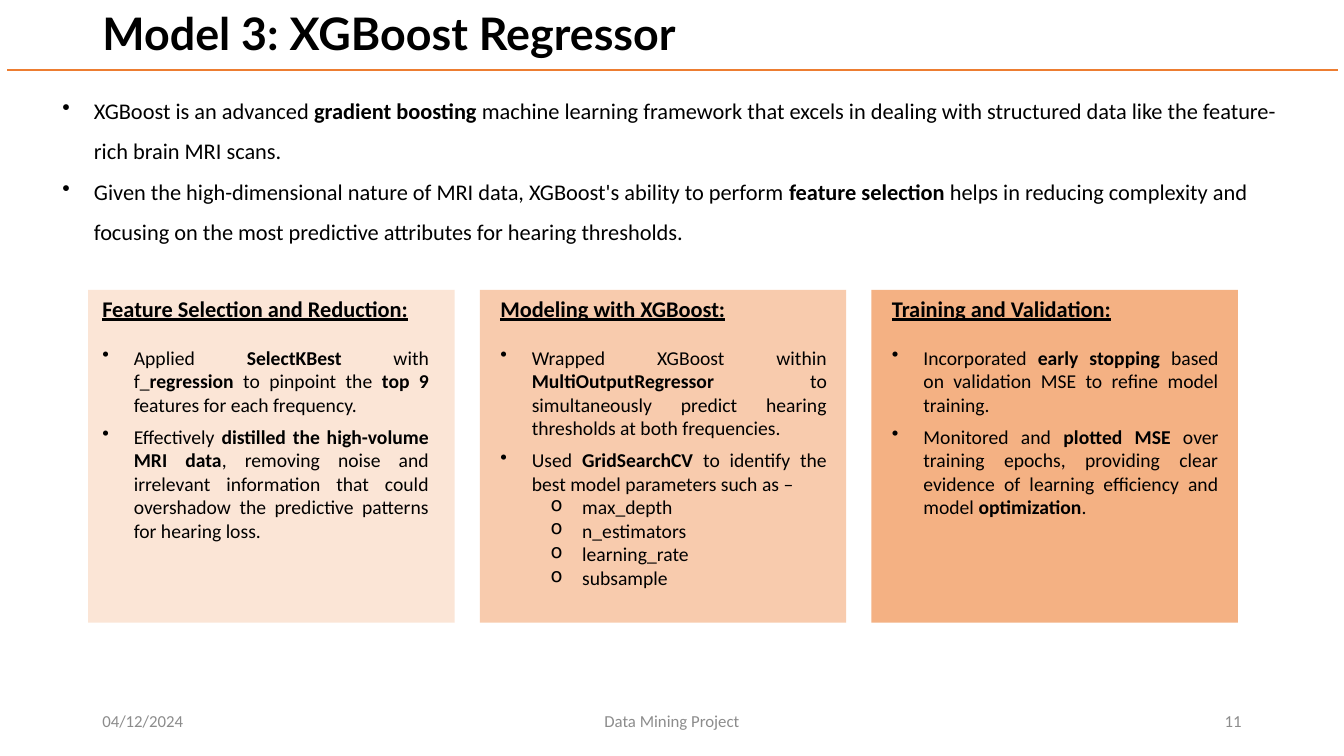
from lxml.etree import SubElement
from pptx import Presentation
from pptx.dml.color import RGBColor
from pptx.enum.shapes import MSO_CONNECTOR as Connector, MSO_SHAPE as Shape
from pptx.enum.text import MSO_ANCHOR as Anchor, MSO_AUTO_SIZE as AutoSize, PP_ALIGN as Align
from pptx.oxml.ns import qn
from pptx.util import Emu, Pt

SCALE = 9525  # EMU per px, 96 px to the inch
COLOURS = {"text": "000000", "footer": "8C8C8C", "rule": "ED7D31"}
INDENT = 30
SUB_INDENT = 78

INTRO = [
    "XGBoost is an advanced **gradient boosting **machine learning framework that excels "
    "in dealing with structured data like the feature-rich brain MRI scans.",
    "Given the high-dimensional nature of MRI data, XGBoost's ability to perform "
    "**feature selection **helps in reducing complexity and focusing on the most "
    "predictive attributes for hearing thresholds.",
]

# Card fill, text left, heading, bullets, sub-bullets
CARDS = [
    ("FBE5D6", 88, "Feature Selection and Reduction:", [
        "Applied **SelectKBest** with f_**regression** to pinpoint the **top 9** "
        "features for each frequency.",
        "Effectively **distilled the high-volume MRI data**, removing noise and irrelevant "
        "information that could overshadow the predictive patterns for hearing loss.",
    ], []),
    ("F8CBAD", 467, "Modeling with XGBoost:", [
        "Wrapped XGBoost within **MultiOutputRegressor** to simultaneously predict "
        "hearing thresholds at both frequencies.",
        "Used **GridSearchCV **to identify the best model parameters such as –",
    ], ["max_depth", "n_estimators", "learning_rate", "subsample"]),
    ("F4B183", 840, "Training and Validation:", [
        "Incorporated **early stopping **based on validation MSE to refine model training.",
        "Monitored and **plotted MSE **over training epochs, providing clear evidence of "
        "learning efficiency and model **optimization**.",
    ], []),
]

# Text, left, width, alignment
FOOTERS = [
    ("04/12/2024", 88, 288, Align.LEFT),
    ("Data Mining Project", 424, 432, Align.CENTER),
    ("11", 904, 288, Align.RIGHT),
]


def px(length):
    return Emu(length * SCALE)


def colour(value):
    return RGBColor.from_string(value)


def add_spans(para, text, size, ink="text", font="Calibri", bold=False, underline=False):
    """Add text run by run; ** switches bold on and off."""
    for index, part in enumerate(text.split("**")):
        if part:
            span = para.add_run()
            span.text = part
            span.font.name = font
            span.font.size = Pt(size)
            span.font.bold = bold or index % 2 == 1
            span.font.underline = underline
            span.font.color.rgb = colour(COLOURS[ink])


def set_bullet(para, mark, left):
    properties = para._p.get_or_add_pPr()
    properties.set("marL", str(px(left)))
    properties.set("indent", str(px(-INDENT)))
    SubElement(properties, qn("a:buChar")).set("char", mark)


def add_text_box(page, left, top, width, height, anchor=Anchor.TOP):
    box = page.shapes.add_textbox(px(left), px(top), px(width), px(height))
    frame = box.text_frame
    frame.word_wrap = True
    frame.vertical_anchor = anchor
    return frame


def add_title(page, text):
    title = page.shapes.title
    title.left, title.top, title.width, title.height = px(88), px(6), px(1104), px(56)
    frame = title.text_frame
    frame.auto_size = AutoSize.NONE
    frame.vertical_anchor = Anchor.MIDDLE
    para = frame.paragraphs[0]
    para.alignment = Align.LEFT
    para.line_spacing = 0.9
    add_spans(para, text, 32, font="Lato", bold=True)


def add_rule(page):
    rule = page.shapes.add_connector(Connector.STRAIGHT, px(7), px(67), px(1274), px(67))
    rule.line.color.rgb = colour(COLOURS["rule"])
    rule.line.width = Pt(1.5)
    SubElement(rule._element.spPr, qn("a:effectLst"))


def add_intro(page):
    frame = add_text_box(page, 50, 75, 1181, 160)
    for index, text in enumerate(INTRO):
        para = frame.add_paragraph() if index else frame.paragraphs[0]
        para.line_spacing = 1.5
        set_bullet(para, "•", INDENT)
        add_spans(para, text, 16)


def add_card(page, left, fill, text_left, heading, bullets, sub_bullets):
    top, height = 276, 317
    card = page.shapes.add_shape(Shape.RECTANGLE, px(left), px(top), px(349), px(height))
    card.shadow.inherit = False
    card.fill.solid()
    card.fill.fore_color.rgb = colour(fill)
    card.line.fill.background()

    frame = add_text_box(page, text_left, top, 330, height)
    para = frame.paragraphs[0]
    para.alignment = Align.JUSTIFY
    para.space_after = Pt(17)
    add_spans(para, heading, 16, bold=True, underline=True)
    for index, text in enumerate(bullets):
        para = frame.add_paragraph()
        para.alignment = Align.JUSTIFY
        para.space_before = Pt(6 if index else 0)
        set_bullet(para, "•", INDENT)
        add_spans(para, text, 14)
    for text in sub_bullets:
        para = frame.add_paragraph()
        para.level = 1
        para.alignment = Align.JUSTIFY
        set_bullet(para, "o", SUB_INDENT)
        add_spans(para, text, 14)


def add_footer(page, text, left, width, alignment):
    para = add_text_box(page, left, 667, width, 38, Anchor.MIDDLE).paragraphs[0]
    para.alignment = alignment
    add_spans(para, text, 12, ink="footer")


def main():
    deck = Presentation()
    deck.slide_width, deck.slide_height = px(1280), px(720)
    page = deck.slides.add_slide(deck.slide_layouts[5])

    # Heading and introduction
    add_rule(page)
    add_title(page, "Model 3: XGBoost Regressor")
    add_intro(page)

    # Three equally spaced cards
    for index, card in enumerate(CARDS):
        add_card(page, 84 + 373 * index, *card)

    # Footer
    for footer in FOOTERS:
        add_footer(page, *footer)

    deck.save("out.pptx")


if __name__ == "__main__":
    main()
